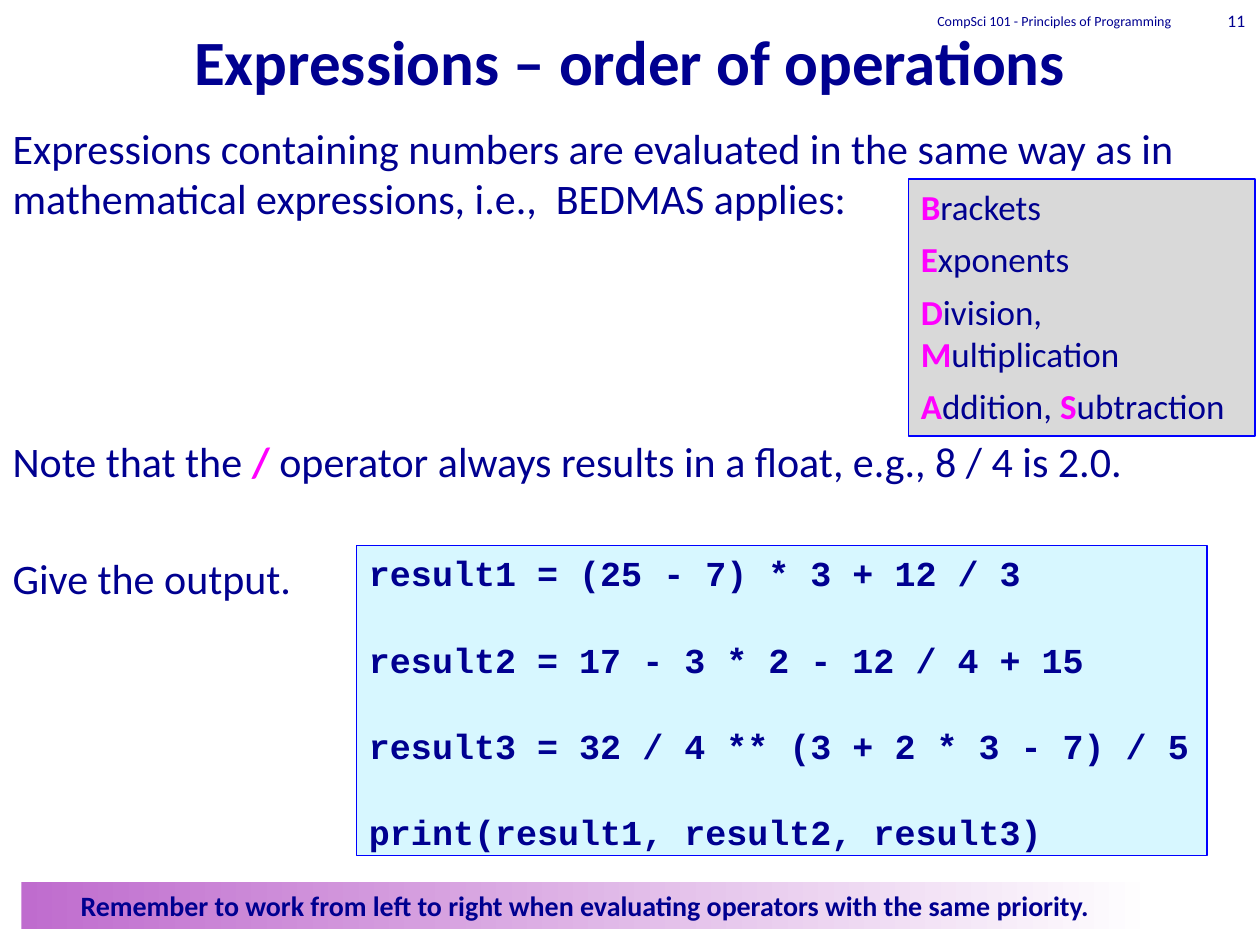
"""Build the slide on the order of operations in expressions."""
from pptx import Presentation
from pptx import util as u
from pptx.dml import color
from pptx.enum import shapes, text

NAVY, PINK, BLUE = "000090", "FF00FF", "0000FF"


def rgb(value):
    """Turn a hex string into a colour."""
    return color.RGBColor.from_string(value)


class Deck:
    """Hold the style and the current slide."""

    def __init__(self, prs, font="Calibri"):
        """Add a title and content slide."""
        self.s = prs.slides.add_slide(prs.slide_layouts[1])
        self.font = font

    def place(self, sp, box):
        """Move a shape to left, top, width and height in inches."""
        sp.left, sp.top, sp.width, sp.height = map(u.Inches, box)

    def fill_text(self, sp, lines, size, align="LEFT", anchor="TOP", bold=False,
                  font=None, gaps=()):
        """Fill a shape with lines, where bars enclose highlighted words."""
        tf = sp.text_frame
        tf.word_wrap = True
        tf.auto_size = text.MSO_AUTO_SIZE.NONE
        tf.vertical_anchor = text.MSO_ANCHOR[anchor]
        for i, line in enumerate(lines):
            p = tf.paragraphs[0] if i == 0 else tf.add_paragraph()
            p.alignment = text.PP_ALIGN[align]
            p.space_before = u.Pt(gaps[i] if gaps else 0)
            p.font.name, p.font.size = font or self.font, u.Pt(size)
            p.font.bold = bold
            p.font.color.rgb = rgb(NAVY)
            for j, part in enumerate(line.split("|")):
                if part:
                    r = p.add_run()
                    r.text = part
                    if j % 2:
                        r.font.bold = True
                        r.font.color.rgb = rgb(PINK)

    def title(self, box, line):
        """Fill the title placeholder."""
        sp = self.s.shapes.title
        self.place(sp, box)
        self.fill_text(sp, [line], 36, "CENTER", "BOTTOM", bold=True)

    def body(self, box, lines, gaps):
        """Fill the body placeholder without bullets."""
        sp = self.s.placeholders[1]
        self.place(sp, box)
        self.fill_text(sp, lines, 24, gaps=gaps)
        for p in sp.text_frame.paragraphs:
            pPr = p._p.get_or_add_pPr()
            pPr.set("marL", "0")
            pPr.set("indent", "0")
            bullet = pPr.makeelement(
                "{http://schemas.openxmlformats.org/drawingml/2006/main}buNone", {})
            pPr.find("{*}defRPr").addprevious(bullet)

    def label(self, box, line, size):
        """Add a small right-aligned header text."""
        sp = self.s.shapes.add_textbox(*map(u.Inches, box))
        self.fill_text(sp, [line], size, "RIGHT", "MIDDLE")
        sp.text_frame.margin_top = sp.text_frame.margin_bottom = 0

    def panel(self, box, fill, lines, size, **style):
        """Add an outlined rectangle, or a borderless one for a colour pair."""
        sp = self.s.shapes.add_shape(shapes.MSO_SHAPE.RECTANGLE, *map(u.Inches, box))
        sp.shadow.inherit = False
        if isinstance(fill, tuple):
            sp.fill.gradient()
            sp.fill.gradient_angle = 0
            for stop, value in zip(sp.fill.gradient_stops, fill):
                stop.color.rgb = rgb(value)
            sp.line.fill.background()
        else:
            sp.fill.solid()
            sp.fill.fore_color.rgb = rgb(fill)
            sp.line.color.rgb = rgb(BLUE)
            sp.line.width = u.Pt(0.75)
        self.fill_text(sp, lines, size, **style)


def main():
    """Compose and save the slide."""
    prs = Presentation()
    prs.slide_width, prs.slide_height = u.Inches(10), u.Inches(7.5)
    deck = Deck(prs)
    deck.title((0, 0, 10, 0.83), "Expressions – order of operations")
    deck.body((0, 0.92, 9.75, 6.42), [
        "Expressions containing numbers are evaluated in the same way as in "
        "mathematical expressions, i.e.,  BEDMAS applies:",
        "Note that the |/ |operator always results in a float, e.g., 8 / 4 is 2.0.",
        "Give the output.",
    ], gaps=(4.8, 121.6, 38.1))
    deck.label((6.4, 0.08, 3, 0.17), "CompSci 101 - Principles of Programming", 8)
    deck.label((9.4, 0.08, 0.58, 0.17), "11", 10)
    deck.panel((0.17, 7, 9, 0.37), ("BF6CCE", "FFFFFF"), [
        "Remember to work from left to right when evaluating operators "
        "with the same priority. ",
    ], 16, align="CENTER", bold=True)
    deck.panel((7.21, 1.42, 2.75, 2.04), "D9D9D9", [
        "|B|rackets",
        "|E|xponents",
        "|D|ivision, |M|ultiplication",
        "|A|ddition, |S|ubtraction",
    ], 20, gaps=(6, 6, 6, 6))
    deck.panel((2.83, 4.33, 6.75, 2.46), "D7F7FF", [
        "result1 = (25 - 7) * 3 + 12 / 3",
        "result2 = 17 - 3 * 2 - 12 / 4 + 15",
        "result3 = 32 / 4 ** (3 + 2 * 3 - 7) / 5",
        "print(result1, result2, result3)",
    ], 20, bold=True, font="Courier New", gaps=(0, 25.3, 25.3, 25.3))
    prs.save("out.pptx")


if __name__ == "__main__":
    main()
